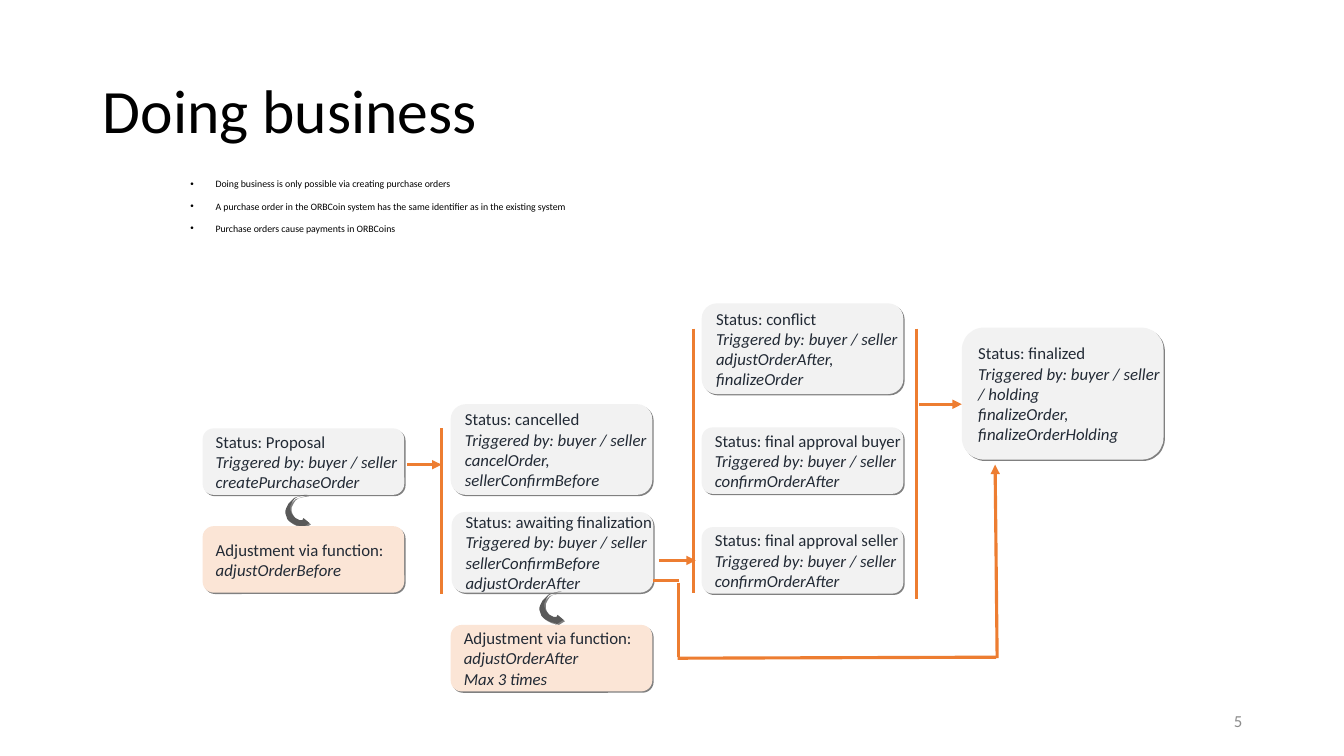
from lxml import etree
from pptx import Presentation
from pptx.dml.color import RGBColor
from pptx.enum.shapes import MSO_CONNECTOR as CONNECTOR, MSO_SHAPE as SHAPE
from pptx.enum.text import MSO_ANCHOR as ANCHOR, PP_ALIGN as ALIGN
from pptx.oxml.ns import qn
from pptx.util import Inches, Pt

BLACK = RGBColor(0x00, 0x00, 0x00)
NAVY = RGBColor(0x22, 0x2A, 0x35)
GREY = RGBColor(0x8C, 0x8C, 0x8C)
DARK_GREY = RGBColor(0x59, 0x59, 0x59)
LIGHT_GREY = RGBColor(0xF2, 0xF2, 0xF2)
PEACH = RGBColor(0xFB, 0xE5, 0xD6)
ORANGE = RGBColor(0xED, 0x7D, 0x31)
SHADOW = RGBColor(0x80, 0x80, 0x80)

FONT = "Calibri"
BOX_W = 2
LOW, HIGH = 0.66, 0.9
TRIGGER = "Triggered by: buyer / seller"

BULLETS = [
    "Doing business is only possible via creating purchase orders",
    "A purchase order in the ORBCoin system has the same identifier as in the existing system",
    "Purchase orders cause payments in ORBCoins",
]

# left, top, height, heading, details
STATUSES = [
    (2.01, 4.25, LOW, "Status: Proposal", [TRIGGER, "createPurchaseOrder"]),
    (4.48, 5.08, 0.8, "Status: awaiting finalization",
     [TRIGGER, "sellerConfirmBefore", "adjustOrderAfter"]),
    (4.47, 4.01, HIGH, "Status: cancelled",
     [TRIGGER, "cancelOrder,", "sellerConfirmBefore"]),
    (6.96, 3.01, HIGH, "Status: conflict",
     [TRIGGER, "adjustOrderAfter,", "finalizeOrder"]),
    (6.96, 5.23, LOW, "Status: final approval seller", [TRIGGER, "confirmOrderAfter"]),
    (6.96, 4.24, LOW, "Status: final approval buyer", [TRIGGER, "confirmOrderAfter"]),
    (9.54, 3.25, 1.31, "Status: finalized",
     [TRIGGER, "/ holding", "finalizeOrder,", "finalizeOrderHolding"]),
]
ADJUSTMENTS = [
    (2.01, 5.22, LOW, "Adjustment via function:", ["adjustOrderBefore"]),
    (4.47, 6.2, LOW, "Adjustment via function:", ["adjustOrderAfter", "Max 3 times"]),
]

# x1, y1, x2, y2
LINES = [
    (4.38, 4.25, 4.38, 5.89),
    (6.88, 3.26, 6.88, 5.88),
    (9.09, 3.26, 9.09, 5.94),
    (6.73, 5.78, 6.73, 6.52),
    (9.88, 6.52, 6.72, 6.53),
    (6.73, 5.76, 6.48, 5.76),
]
ARROWS = [
    (4.04, 4.61, 4.38, 4.61),
    (6.54, 5.56, 6.9, 5.56),
    (9.12, 4.01, 9.54, 4.01),
    (9.89, 6.53, 9.87, 4.61),
]

# Outline of a curved arrow, in hundredths of an inch
CURVE = [
    (22, 0), (16, 1), (12, 2), (9, 3), (7, 5), (5, 7), (3, 9), (1, 13),
    (0, 16), (0, 18), (1, 21), (2, 24), (4, 26), (7, 28), (11, 30), (15, 31),
    (17, 31), (16, 33), (24, 28), (18, 23), (17, 25), (14, 25), (10, 23),
    (8, 21), (6, 18), (5, 15), (5, 11), (6, 9), (7, 7), (9, 4), (12, 2),
    (15, 1), (19, 0),
]
CURVE_ORIGINS = [(2.83, 4.91), (5.35, 5.87)]


def add_paragraph(tf, text, size=12, color=NAVY, italic=False, align=ALIGN.LEFT,
                  spacing=None, before=None, bullet=False):
    first = tf.paragraphs[0]
    p = tf.add_paragraph() if first.runs else first
    p.alignment = align
    if spacing:
        p.line_spacing = spacing
    if before:
        p.space_before = Pt(before)
    if bullet:
        p_pr = p._p.get_or_add_pPr()
        p_pr.set("marL", str(Inches(0.25)))
        p_pr.set("indent", str(Inches(-0.25)))
        etree.SubElement(p_pr, qn("a:buFont"), typeface="Arial")
        etree.SubElement(p_pr, qn("a:buChar"), char="•")
    r = p.add_run()
    r.text = text
    font = r.font
    font.name, font.size, font.italic = FONT, Pt(size), italic
    font.color.rgb = color


def add_text_box(slide, x, y, w, h, anchor=ANCHOR.TOP):
    sp = slide.shapes.add_textbox(Inches(x), Inches(y), Inches(w), Inches(h))
    tf = sp.text_frame
    tf.word_wrap = True
    tf.vertical_anchor = anchor
    return tf


def style_shape(sp, fill):
    """Give a flat fill, no outline and a hard shadow to the lower right."""
    sp.fill.solid()
    sp.fill.fore_color.rgb = fill
    sp.line.fill.background()
    sp.shadow.inherit = False
    effects = sp._element.spPr.find(qn("a:effectLst"))
    shadow = etree.SubElement(effects, qn("a:outerShdw"), blurRad="0",
                              dist=str(Pt(1.4)), dir="2700000")
    etree.SubElement(shadow, qn("a:srgbClr"), val=str(SHADOW))


def add_box(slide, fill, x, y, h, heading, details):
    sp = slide.shapes.add_shape(SHAPE.ROUNDED_RECTANGLE, Inches(x), Inches(y),
                                Inches(BOX_W), Inches(h))
    style_shape(sp, fill)
    tf = sp.text_frame
    tf.word_wrap = False
    tf.vertical_anchor = ANCHOR.MIDDLE
    tf.margin_left = tf.margin_right = tf.margin_top = tf.margin_bottom = Inches(0.1)
    add_paragraph(tf, heading)
    for detail in details:
        add_paragraph(tf, detail, italic=True)


def add_line(slide, x1, y1, x2, y2, arrow=False):
    line = slide.shapes.add_connector(CONNECTOR.STRAIGHT, Inches(x1), Inches(y1),
                                      Inches(x2), Inches(y2))
    line.line.color.rgb = ORANGE
    line.line.width = Pt(2.25)
    if arrow:
        etree.SubElement(line.line._get_or_add_ln(), qn("a:tailEnd"), type="triangle")
    etree.SubElement(line._element.spPr, qn("a:effectLst"))


def add_curved_arrow(slide, x, y):
    builder = slide.shapes.build_freeform(*CURVE[0], scale=Inches(0.01))
    builder.add_line_segments(CURVE[1:], close=True)
    style_shape(builder.convert_to_shape(Inches(x), Inches(y)), DARK_GREY)


def main():
    prs = Presentation()
    prs.slide_width, prs.slide_height = Inches(13.33), Inches(7.5)
    slide = prs.slides.add_slide(prs.slide_layouts[6])

    title = add_text_box(slide, 0.92, 0.4, 11.5, 1.45, anchor=ANCHOR.MIDDLE)
    add_paragraph(title, "Doing business", size=44, color=BLACK, spacing=0.9)
    number = add_text_box(slide, 9.42, 6.95, 3, 0.4, anchor=ANCHOR.MIDDLE)
    add_paragraph(number, "5", color=GREY, align=ALIGN.RIGHT)

    for status in STATUSES:
        add_box(slide, LIGHT_GREY, *status)
    for line in LINES:
        add_line(slide, *line)
    for arrow in ARROWS:
        add_line(slide, *arrow, arrow=True)
    for origin in CURVE_ORIGINS:
        add_curved_arrow(slide, *origin)
    for adjustment in ADJUSTMENTS:
        add_box(slide, PEACH, *adjustment)

    body = add_text_box(slide, 1.79, 1.75, 9.75, 1.11)
    for text in BULLETS:
        add_paragraph(body, text, size=7, color=BLACK, spacing=0.7, before=10, bullet=True)

    prs.save("out.pptx")


if __name__ == "__main__":
    main()
